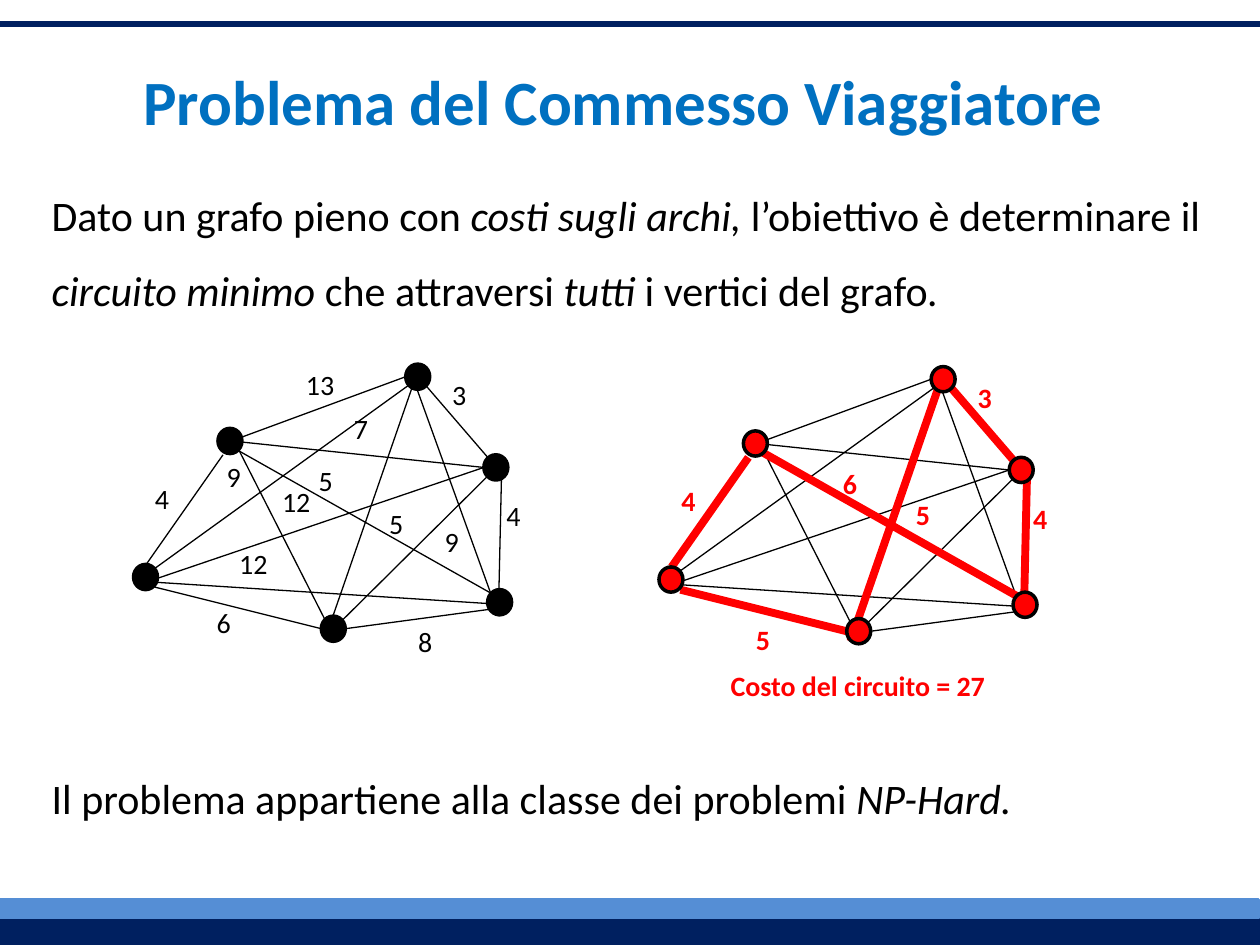
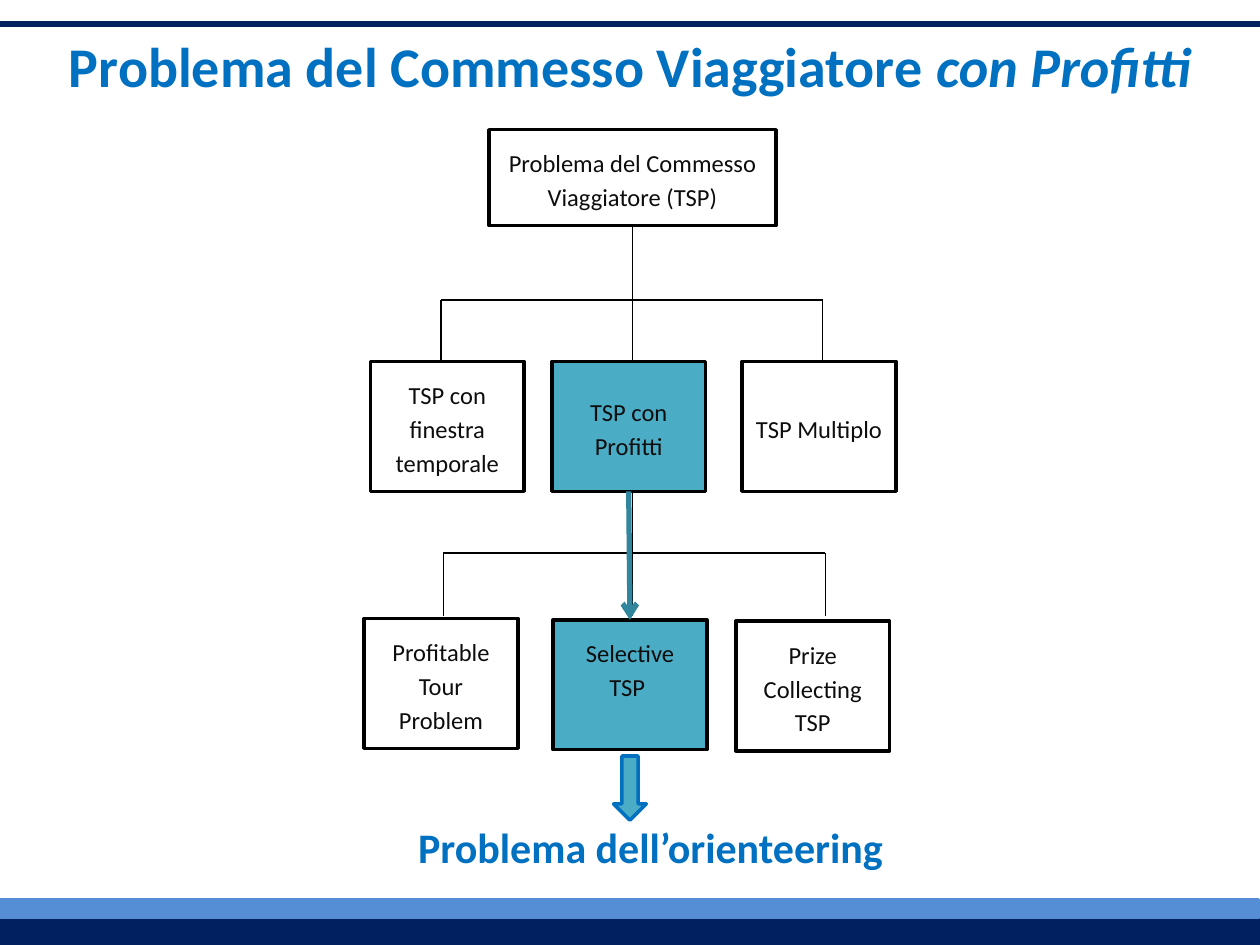
"""Builds two slides on the travelling salesman problem and its variants."""
from lxml import etree
from pptx import Presentation
from pptx.dml.color import RGBColor
from pptx.enum import shapes, text
from pptx.oxml import ns
from pptx.util import Inches, Pt

FONT = "Calibri"
COLORS = {
    "navy": "002060", "band": "558ED5", "title": "0070C0", "black": "000000",
    "red": "FF0000", "box_text": "0D0D0D", "teal": "4BACC6", "arrow": "31859C",
}

GRAPH_TITLE = [("Problema del Commesso Viaggiatore ", False)]
DEFINITION = [
    ("Dato un grafo pieno con ", False), ("costi sugli archi, ", True),
    ("l’obiettivo è determinare il ", False), ("circuito minimo", True),
    (" che attraversi ", False), ("tutti ", True),
    ("i vertici del grafo", False), (".", True),
]
COMPLEXITY = [("Il problema appartiene alla classe dei problemi ", False), ("NP-Hard.", True)]

NODE_SIZE = (0.19, 0.2)
NODES = [(1.73, 3.4), (3.22, 2.89), (2.55, 4.89), (3.87, 4.68), (1.06, 4.48), (3.84, 3.61)]
OTHER_EDGES = [
    (1.25, 4.59, 3.84, 3.71), (1.89, 3.48, 3.22, 2.99), (1.9, 3.58, 2.58, 4.92),
    (1.12, 4.59, 3.24, 3.06), (1.06, 4.61, 3.87, 4.79), (1.84, 3.5, 3.84, 3.71),
    (3.93, 4.83, 2.74, 4.99), (3.87, 3.78, 2.72, 4.92), (3.31, 3.09, 3.96, 4.89),
]
TOUR_EDGES = [
    (1.23, 4.66, 2.55, 4.99), (3.38, 3.06, 4, 3.78), (1.16, 4.48, 1.77, 3.61),
    (1.81, 3.53, 3.9, 4.71), (3.98, 3.79, 3.96, 4.68), (2.58, 5.07, 3.29, 3.02),
]
COSTS = [
    ("5", 2.43, 3.63), ("4", 1.13, 3.77), ("6", 1.62, 4.76), ("3", 3.49, 2.95),
    ("5", 2.99, 3.97), ("4", 3.92, 3.91), ("12", 1.8, 4.29), ("12", 2.14, 3.8),
    ("9", 1.7, 3.6), ("8", 3.22, 4.91), ("7", 2.71, 3.22), ("9", 3.43, 4.11),
    ("13", 2.33, 2.87),
]
TOUR_COSTS = [
    ("4", 5.31, 3.79), ("6", 6.59, 3.65), ("3", 7.66, 2.97),
    ("4", 8.1, 3.93), ("5", 7.17, 3.9), ("5", 5.9, 4.89),
]
TOUR_OFFSET = (4.17, 0.02)

TREE_TITLE = GRAPH_TITLE + [("con Profitti", True)]
ROOT = ("Problema del Commesso Viaggiatore (TSP)", 3.88, 1.03)
ROOT_SIZE = (2.28, 0.76)
VARIANT_SIZE = (1.22, 1.03)
VARIANTS = [
    ("TSP con finestra temporale", 2.94, 2.87), ("TSP con Profitti", 4.38, 2.87),
    ("TSP Multiplo", 5.89, 2.87),
    ("Profitable Tour Problem", 2.89, 4.91), ("Selective TSP ", 4.39, 4.92),
    ("Prize Collecting TSP", 5.84, 4.93),
]
HIGHLIGHTED = ("TSP con Profitti", "Selective TSP ")
TRUNK = 5.02
BRANCHES = [(3.5, 6.53, 2.38), (3.52, 6.55, 4.39)]
DROP = 0.5


def color(name):
    return RGBColor.from_string(COLORS[name])


def write(frame, runs, size, ink, bold=False, spacing=1.0, align=text.PP_ALIGN.LEFT,
          anchor=text.MSO_ANCHOR.TOP):
    frame.word_wrap = True
    frame.auto_size = text.MSO_AUTO_SIZE.NONE
    frame.vertical_anchor = anchor
    paragraph = frame.paragraphs[0]
    paragraph.alignment = align
    paragraph.line_spacing = spacing
    paragraph.space_before = Pt(0)
    for content, italic in runs:
        run = paragraph.add_run()
        run.text = content
        run.font.name, run.font.size = FONT, Pt(size)
        run.font.bold, run.font.italic = bold, italic
        run.font.color.rgb = color(ink)
    return paragraph


def place(shape, left, top, width, height):
    shape.left, shape.top = Inches(left), Inches(top)
    shape.width, shape.height = Inches(width), Inches(height)


def add_title(slide, runs, size, box):
    place(slide.shapes.title, *box)
    write(slide.shapes.title.text_frame, runs, size, "title", True,
          align=text.PP_ALIGN.CENTER, anchor=text.MSO_ANCHOR.MIDDLE)


def add_body(slide, index, runs, box):
    body = slide.placeholders[index]
    place(body, *box)
    paragraph = write(body.text_frame, runs, 24, "black", spacing=1.5)
    properties = paragraph._p.get_or_add_pPr()
    properties.set("marL", "0")
    properties.set("indent", "0")
    etree.SubElement(properties, ns.qn("a:buNone"))


def add_label(slide, content, left, top, width, height, size, ink, bold):
    label = slide.shapes.add_textbox(Inches(left), Inches(top), Inches(width), Inches(height))
    write(label.text_frame, [(content, False)], size, ink, bold)


def add_shape(slide, kind, left, top, width, height, fill, line):
    shape = slide.shapes.add_shape(kind, Inches(left), Inches(top), Inches(width), Inches(height))
    shape.shadow.inherit = False
    if fill:
        shape.fill.solid()
        shape.fill.fore_color.rgb = color(fill)
    else:
        shape.fill.background()
    shape.line.color.rgb = color(line)
    shape.line.width = Pt(2)
    return shape


def add_line(slide, x1, y1, x2, y2, ink="black", width=0.75):
    line = slide.shapes.add_connector(
        shapes.MSO_CONNECTOR.STRAIGHT, Inches(x1), Inches(y1), Inches(x2), Inches(y2))
    line.line.color.rgb = color(ink)
    line.line.width = Pt(width)
    etree.SubElement(line._element.spPr, ns.qn("a:effectLst"))
    return line


def add_slide(presentation, layout):
    slide = presentation.slides.add_slide(presentation.slide_layouts[layout])
    add_line(slide, 0, 0.19, 10, 0.19, "navy", 3)
    rectangle = shapes.MSO_SHAPE.RECTANGLE
    add_shape(slide, rectangle, 0, 7.28, 10, 0.22, "navy", "navy")
    add_shape(slide, rectangle, -0.01, 7.14, 10, 0.14, "band", "band")
    return slide


def add_graph(slide, offset, node_fill, tour_ink, tour_width):
    dx, dy = offset
    styles = [(OTHER_EDGES, "black", 0.75), (TOUR_EDGES, tour_ink, tour_width)]
    for edges, ink, width in styles:
        for x1, y1, x2, y2 in edges:
            add_line(slide, x1 + dx, y1 + dy, x2 + dx, y2 + dy, ink, width)
    for left, top in NODES:
        add_shape(slide, shapes.MSO_SHAPE.OVAL, left + dx, top + dy, *NODE_SIZE,
                  node_fill, "black")


def add_box(slide, content, left, top, size):
    fill = "teal" if content in HIGHLIGHTED else None
    box = add_shape(slide, shapes.MSO_SHAPE.RECTANGLE, left, top, *size, fill, "black")
    paragraph = write(box.text_frame, [(content, False)], 14, "box_text", spacing=1.15,
                      align=text.PP_ALIGN.CENTER, anchor=text.MSO_ANCHOR.MIDDLE)
    paragraph.space_after = Pt(10)
    return box


def build_graph_slide(presentation):
    slide = add_slide(presentation, 3)
    add_title(slide, GRAPH_TITLE, 36, (0.3, 0.44, 9.41, 0.71))
    add_body(slide, 1, DEFINITION, (0.31, 1.25, 9.37, 1.24))
    add_body(slide, 2, COMPLEXITY, (0.31, 5.88, 9.37, 0.71))
    add_graph(slide, (0, 0), "black", "black", 0.75)
    add_graph(slide, TOUR_OFFSET, "red", "red", 4.5)
    for cost, left, top in COSTS:
        add_label(slide, cost, left, top, 0.24 + 0.14 * len(cost), 0.48, 16, "black", False)
    for cost, left, top in TOUR_COSTS:
        add_label(slide, cost, left, top, 0.32, 0.37, 16, "red", True)
    add_label(slide, "Costo del circuito = 27", 5.7, 5.26, 2.25, 0.37, 16, "red", True)


def build_tree_slide(presentation):
    slide = add_slide(presentation, 5)
    add_title(slide, TREE_TITLE, 32, (0.08, 0.2, 9.84, 0.64))
    root = add_box(slide, *ROOT, ROOT_SIZE)
    for left, right, top in BRANCHES:
        add_line(slide, left, top, right, top)
        for x in (left, TRUNK, right):
            add_line(slide, x, top, x, top + DROP)
    boxes = {variant[0]: add_box(slide, *variant, VARIANT_SIZE) for variant in VARIANTS}
    add_line(slide, TRUNK, 1.79, TRUNK, 2.38).begin_connect(root, 2)
    add_line(slide, TRUNK, 3.9, TRUNK, 4.39)

    profits, selective = (boxes[name] for name in HIGHLIGHTED)
    selective.text_frame.margin_bottom = Inches(0.32)
    add_shape(slide, shapes.MSO_SHAPE.DOWN_ARROW, 4.87, 6, 0.26, 0.51, "teal", "title")
    add_label(slide, "Problema dell’orienteering", 3.22, 6.47, 3.93, 0.5, 24, "title", True)
    arrow = add_line(slide, 4.99, 3.9, 5, 4.92, "arrow", 3)
    arrow.begin_connect(profits, 2)
    arrow.end_connect(selective, 0)
    outline = arrow._element.spPr.find(ns.qn("a:ln"))
    etree.SubElement(outline, ns.qn("a:tailEnd"), type="arrow")


def main():
    presentation = Presentation()
    presentation.slide_width, presentation.slide_height = Inches(10), Inches(7.5)
    build_graph_slide(presentation)
    build_tree_slide(presentation)
    presentation.save("out.pptx")


if __name__ == "__main__":
    main()
